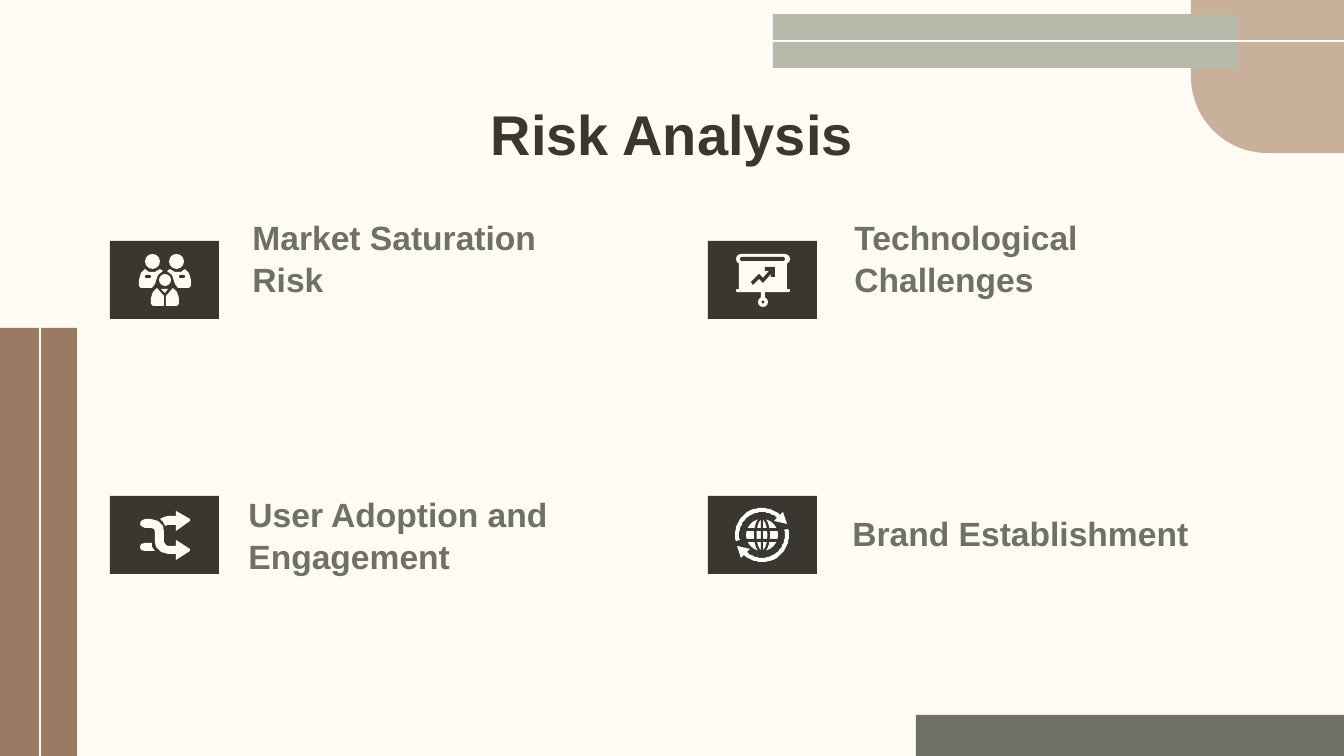
from math import cos, radians, sin

from lxml.etree import SubElement
from pptx import Presentation
from pptx.dml.color import RGBColor
from pptx.enum.shapes import MSO_CONNECTOR, MSO_SHAPE
from pptx.enum.text import MSO_ANCHOR, MSO_AUTO_SIZE, PP_ALIGN
from pptx.oxml.ns import qn
from pptx.util import Inches, Pt

WIDTH, HEIGHT = 1344, 756
SCALE = Inches(10) / WIDTH
CREAM = RGBColor(0xFE, 0xFA, 0xF4)
WHITE = RGBColor(0xFF, 0xFF, 0xFF)
DARK = RGBColor(0x3A, 0x37, 0x30)
GRAY = RGBColor(0x6F, 0x70, 0x67)
SAGE = RGBColor(0xB7, 0xB9, 0xAB)
TAN = RGBColor(0xC9, 0xB0, 0x9A)
BROWN = RGBColor(0x9A, 0x7A, 0x63)

TILE_COLUMNS = (110, 708)
TILE_ROWS = (241, 496)
RISKS = (
    ("Market Saturation Risk", (239, 247, 353, 66)),
    ("Technological Challenges", (841, 247, 392, 66)),
    ("User Adoption and\nEngagement", (235, 535, 476, 55)),
    ("Brand Establishment", (839, 512, 403, 55)),
)


def px(value):
    return round(value * SCALE)


def paint(shape, color):
    shape.shadow.inherit = False
    shape.fill.solid()
    shape.fill.fore_color.rgb = color
    shape.line.fill.background()


def add_block(slide, box, color, kind=MSO_SHAPE.RECTANGLE, adjustment=None):
    shape = slide.shapes.add_shape(kind, *map(px, box))
    paint(shape, color)
    if adjustment is not None:
        shape.adjustments[0] = adjustment
    return shape


def add_outline(slide, points, color):
    builder = slide.shapes.build_freeform(*points[0], scale=SCALE)
    builder.add_line_segments(points[1:], close=True)
    paint(builder.convert_to_shape(), color)


def add_rule(slide, start, end, color=CREAM, width=0.75):
    line = slide.shapes.add_connector(
        MSO_CONNECTOR.STRAIGHT, *map(px, start + end))
    line.line.color.rgb = color
    line.line.width = Pt(width)
    SubElement(line._element.spPr, qn("a:effectLst"))


def fill_placeholder(shape, text, box, size, color, alignment, anchor, spacing):
    shape.left, shape.top, shape.width, shape.height = map(px, box)
    frame = shape.text_frame
    frame.text = text
    frame.word_wrap = True
    frame.auto_size = MSO_AUTO_SIZE.NONE
    frame.vertical_anchor = anchor
    frame.margin_left = frame.margin_right = Inches(0.1)
    frame.margin_top = frame.margin_bottom = Inches(0.1)
    for paragraph in frame.paragraphs:
        properties = paragraph._p.get_or_add_pPr()
        properties.set("marL", "0")
        properties.set("indent", "0")
        SubElement(properties, qn("a:buNone"))
        paragraph.alignment = alignment
        paragraph.line_spacing = spacing
        paragraph.space_before = Pt(0)
        paragraph.font.name = "Arial"
        paragraph.font.size = Pt(size)
        paragraph.font.bold = True
        paragraph.font.color.rgb = color


def add_decoration(slide):
    add_block(slide, (0, 328, 77, 428), BROWN)
    corner = add_block(slide, (1191, 0, 153, 153), TAN,
                       MSO_SHAPE.ROUND_1_RECTANGLE, 0.5)
    corner.rotation = 180
    add_block(slide, (773, 14, 465, 54), SAGE)
    add_block(slide, (916, 715, 428, 41), GRAY)
    add_rule(slide, (40, HEIGHT), (40, 286))
    add_rule(slide, (740, 41), (WIDTH, 41))


def add_team_icon(slide):
    def mirror(points):
        return [(330 - x, y) for x, y in points]

    shoulder = [(145, 269), (149, 272), (155, 272), (160, 269), (163, 271),
                (158, 275), (156, 281), (155, 284), (152, 288), (141, 288),
                (139, 286), (139, 280), (141, 273)]
    torso = [(157, 288), (164, 296), (164, 306), (153, 306), (151, 304),
             (151, 298), (153, 292)]
    for points in (shoulder, torso):
        add_outline(slide, points, CREAM)
        add_outline(slide, mirror(points), CREAM)
    add_outline(slide, [(161, 289), (168, 289), (165, 293)], CREAM)
    for box in ((145, 254, 15, 15), (169, 254, 15, 15), (159, 274, 12, 12)):
        add_block(slide, box, CREAM, MSO_SHAPE.OVAL)
    for left in (145, 179):
        add_block(slide, (left, 275, 6, 3), DARK,
                  MSO_SHAPE.ROUNDED_RECTANGLE, 0.5)


def add_board_icon(slide):
    rounded = MSO_SHAPE.ROUNDED_RECTANGLE
    add_block(slide, (736, 254, 54, 10), CREAM, rounded, 0.5)
    add_block(slide, (740, 257, 45, 4), DARK, rounded, 0.5)
    add_block(slide, (739, 263, 48, 27), CREAM)
    add_block(slide, (736, 289, 54, 3), CREAM, rounded, 0.5)
    add_block(slide, (761, 291, 4, 7), CREAM)
    add_block(slide, (758, 297, 10, 10), CREAM, MSO_SHAPE.DONUT, 0.35)
    trend = [(751, 282), (759, 274), (763, 278), (769, 271), (765, 271),
             (765, 267), (775, 267), (775, 277), (771, 277), (771, 274),
             (763, 283), (759, 279), (753, 285)]
    add_outline(slide, trend, DARK)


def add_shuffle_icon(slide):
    falling = [(145, 519), (151, 519), (158, 521), (163, 526), (164, 532),
               (164, 542), (166, 545), (168, 546), (176, 546), (176, 540),
               (190, 549), (190, 551), (176, 560), (176, 554), (168, 554),
               (161, 552), (156, 547), (155, 542), (155, 532), (154, 529),
               (151, 528), (145, 528), (141, 526), (140, 524), (141, 521)]
    stub = [(145, 543), (152, 543), (152, 547), (155, 551), (145, 551),
            (141, 550), (140, 547), (141, 544)]
    rising = [(160, 519), (164, 517), (168, 516), (176, 516), (176, 511),
              (190, 519), (190, 521), (176, 531), (176, 525), (168, 525),
              (165, 526), (163, 522)]
    for points in (falling, stub, rising):
        add_outline(slide, points, CREAM)


def add_globe_icon(slide):
    center_x, center_y = 762, 535

    def arc(radius, angles):
        return [(center_x + radius * cos(radians(angle)),
                 center_y + radius * sin(radians(angle))) for angle in angles]

    arrow = (arc(27, range(167, 313, 5)) + [(783, 512), (787, 524), (774, 521)]
             + arc(23, range(312, 166, -5)))
    add_outline(slide, arrow, WHITE)
    add_outline(slide, [(2 * center_x - x, 2 * center_y - y)
                        for x, y in arrow], WHITE)
    add_block(slide, (746, 519, 32, 32), WHITE, MSO_SHAPE.OVAL)
    add_block(slide, (754, 517, 16, 36), DARK, MSO_SHAPE.DONUT, 0.16)
    add_block(slide, (761, 519, 2, 32), DARK)
    for top in (528, 539):
        add_block(slide, (746, top, 32, 3), DARK)


def main():
    presentation = Presentation()
    presentation.slide_width = px(WIDTH)
    presentation.slide_height = px(HEIGHT)
    slide = presentation.slides.add_slide(
        presentation.slide_layouts.get_by_name("Comparison"))
    slide.background.fill.solid()
    slide.background.fill.fore_color.rgb = CREAM
    add_decoration(slide)

    fill_placeholder(slide.shapes.title, "Risk Analysis", (106, 79, 1132, 85),
                     30, DARK, PP_ALIGN.CENTER, MSO_ANCHOR.TOP, 1.1)
    for index, (text, box) in enumerate(RISKS, start=1):
        fill_placeholder(slide.placeholders[index], text, box, 18, GRAY,
                         PP_ALIGN.LEFT, MSO_ANCHOR.BOTTOM, 1.05)

    for top in TILE_ROWS:
        for left in TILE_COLUMNS:
            add_block(slide, (left, top, 109, 78), DARK)
    for add_icon in (add_team_icon, add_board_icon,
                     add_shuffle_icon, add_globe_icon):
        add_icon(slide)
    presentation.save("out.pptx")


if __name__ == "__main__":
    main()
